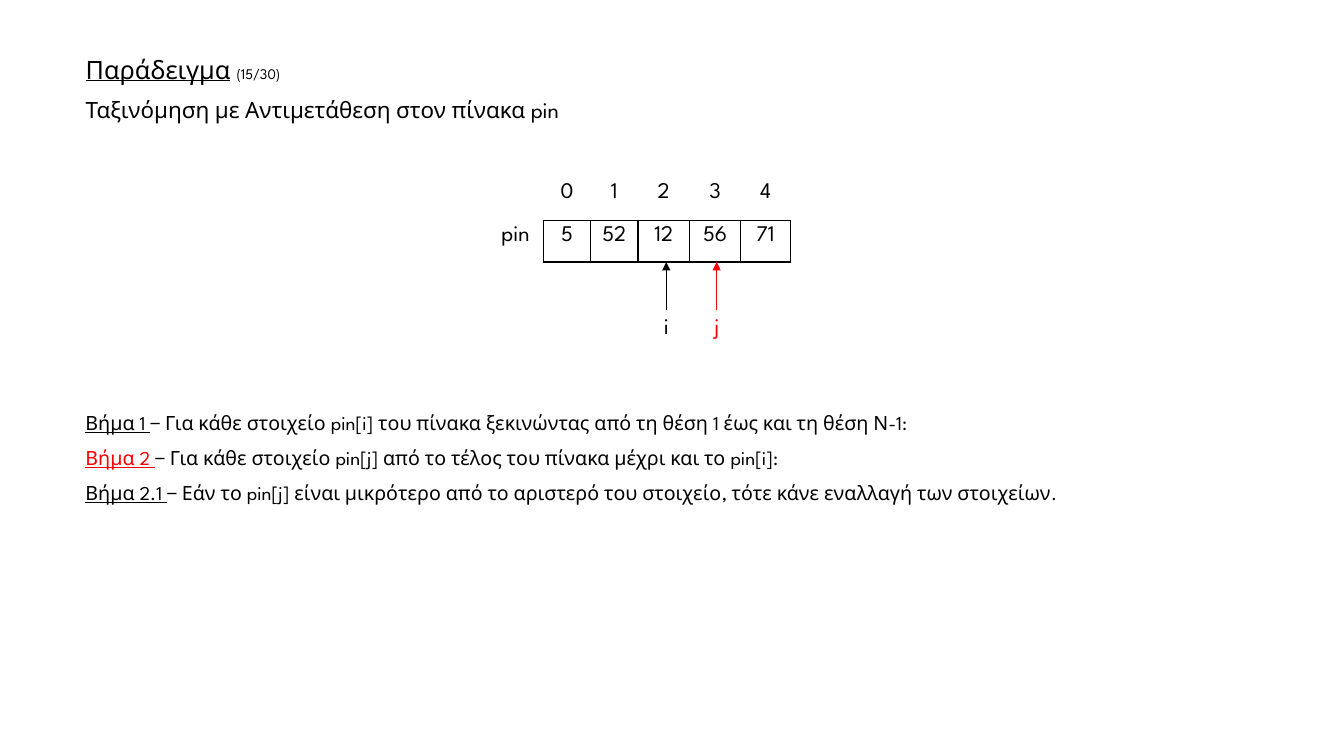
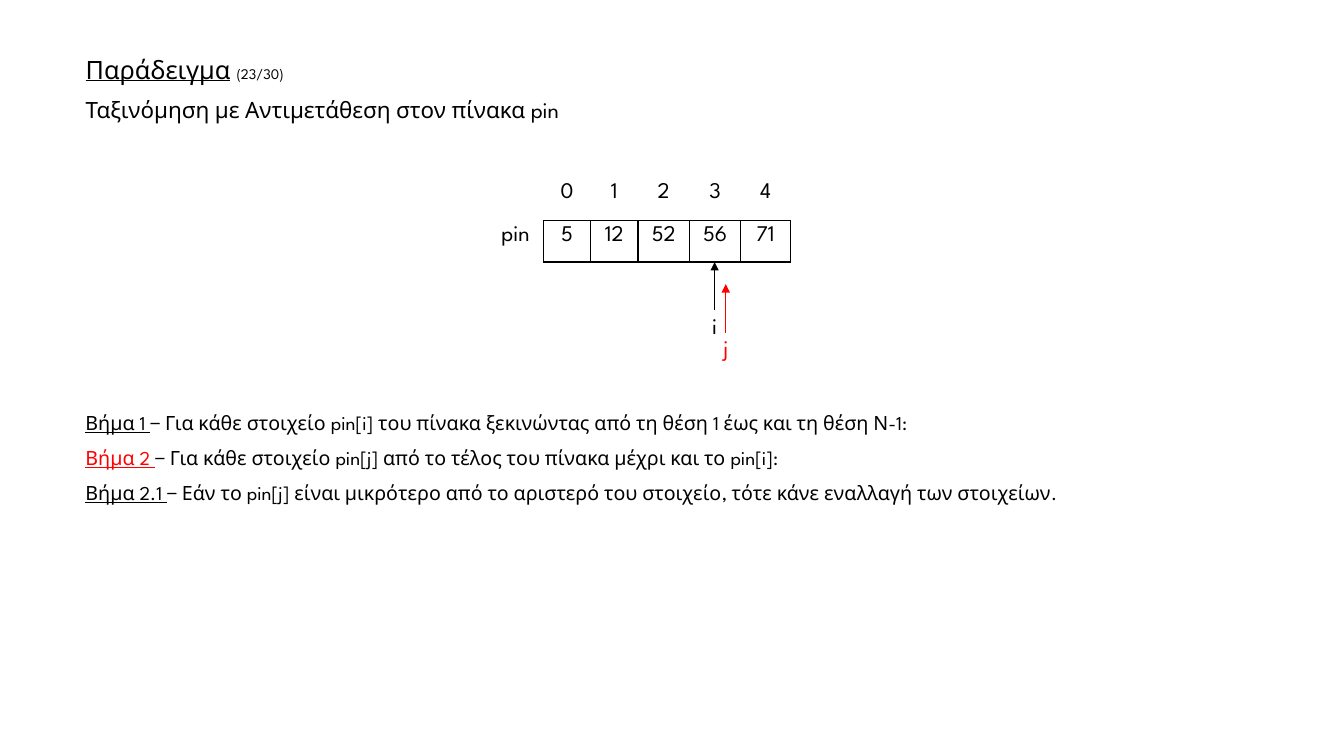
"""Build two slides that show steps of an exchange sort on the array pin."""
import pptx
import pptx.dml.color
import pptx.enum.shapes
import pptx.enum.text
import pptx.oxml
import pptx.oxml.ns
import pptx.util

BLACK = pptx.dml.color.RGBColor(0x00, 0x00, 0x00)
RED = pptx.dml.color.RGBColor(0xFF, 0x00, 0x00)
FONT = "League Spartan"
COLUMNS, ROWS = 40, 30
COLUMN = pptx.util.Inches(1 / 3)
ROW = pptx.util.Inches(0.25)
LEFT = 2.25
PLAIN_TABLE = "{2D5ABB26-0587-4C30-8999-92F81FD0307C}"
LEFT_ALIGN = pptx.enum.text.PP_ALIGN.LEFT
CENTER = pptx.enum.text.PP_ALIGN.CENTER

TABLE_LEFT, TABLE_TOP = 14.52, 7.04
TABLE_COLUMNS = (1.65, 1.41, 1.41, 1.53, 1.53, 1.47)
TABLE_ROWS = (1.72, 1.64)
ARROW_LENGTH = 1.92
LABEL_WIDTH, LABEL_HEIGHT = 0.72, 1.44

STEPS = (
    ("Βήμα 1 ", BLACK, "− Για κάθε στοιχείο pin[i] του πίνακα ξεκινώντας από τη θέση 1 έως και τη θέση Ν-1:"),
    ("Βήμα 2 ", RED, "− Για κάθε στοιχείο pin[j] από το τέλος του πίνακα μέχρι και το pin[i]:"),
    ("Βήμα 2.1 ", BLACK, "− Εάν το pin[j] είναι μικρότερο από το αριστερό του στοιχείο, "
                         "τότε κάνε εναλλαγή των στοιχείων."),
)

EXAMPLES = (
    {"number": "(15/30)", "values": (5, 52, 12, 56, 71),
     "pointers": (("i", BLACK, 19.83, 0), ("j", RED, 21.33, 0))},
    {"number": "(23/30)", "values": (5, 12, 52, 56, 71),
     "pointers": (("i", BLACK, 21.27, 0), ("j", RED, 21.6, 0.88))},
)


def columns(count):
    return round(count * COLUMN)


def rows(count):
    return round(count * ROW)


def add_xml(parent, markup):
    parent.append(pptx.oxml.parse_xml(markup.replace(">", f' {pptx.oxml.ns.nsdecls("a")}>', 1)))


class Deck:
    """Hold the shared style and the slide being filled."""

    def __init__(self):
        self.presentation = pptx.Presentation()
        self.presentation.slide_width = columns(COLUMNS)
        self.presentation.slide_height = rows(ROWS)
        self.slide = None

    def new_slide(self):
        self.slide = self.presentation.slides.add_slide(self.presentation.slide_layouts[5])

    def add_run(self, paragraph, text, size, color=BLACK, underline=False):
        run = paragraph.add_run()
        run.text = text
        run.font.name = FONT
        run.font.size = pptx.util.Pt(size)
        run.font.color.rgb = color
        run.font.underline = underline

    def fill_text(self, frame, paragraphs, line_spacing, space_before=0, alignment=LEFT_ALIGN):
        frame.word_wrap = True
        frame.vertical_anchor = pptx.enum.text.MSO_ANCHOR.TOP
        for index, runs in enumerate(paragraphs):
            paragraph = frame.add_paragraph() if index else frame.paragraphs[0]
            paragraph.alignment = alignment
            paragraph.line_spacing = line_spacing
            paragraph.space_before = pptx.util.Pt(space_before if index else 0)
            for run in runs:
                self.add_run(paragraph, *run)

    def add_title(self, number):
        title = self.slide.shapes.title
        title.left, title.top = columns(LEFT), rows(2.08)
        title.width, title.height = columns(32.37), rows(3.08)
        title.text_frame.auto_size = pptx.enum.text.MSO_AUTO_SIZE.NONE
        heading = (("Παράδειγμα", 18, BLACK, True), (" ", 18), (number, 10.5))
        subject = (("Ταξινόμηση με Αντιμετάθεση στον πίνακα pin", 16),)
        self.fill_text(title.text_frame, (heading, subject), 0.9, 10)

    def add_steps(self):
        box = self.slide.shapes.add_textbox(columns(LEFT), rows(15.64), columns(34.59), rows(4.48))
        paragraphs = [((name, 14, color, True), (text, 14)) for name, color, text in STEPS]
        self.fill_text(box.text_frame, paragraphs, 1.5)
        box.text_frame.auto_size = pptx.enum.text.MSO_AUTO_SIZE.SHAPE_TO_FIT_TEXT

    def format_cell(self, cell, text, borders):
        paragraph = cell.text_frame.paragraphs[0]
        paragraph.alignment = CENTER
        if text:
            self.add_run(paragraph, text, 16)
        properties = cell._tc.get_or_add_tcPr()
        for side in borders:
            add_xml(properties, f'<a:ln{side} w="12700"><a:solidFill>'
                                f'<a:srgbClr val="{BLACK}"/></a:solidFill></a:ln{side}>')
        cell.fill.background()

    def add_array(self, values):
        frame = self.slide.shapes.add_table(
            len(TABLE_ROWS), len(TABLE_COLUMNS), columns(TABLE_LEFT), rows(TABLE_TOP),
            columns(sum(TABLE_COLUMNS)), rows(sum(TABLE_ROWS)))
        table = frame.table
        table.first_row = table.horz_banding = False
        for style in frame.element.iter(pptx.oxml.ns.qn("a:tableStyleId")):
            style.text = PLAIN_TABLE
        for column, width in zip(table.columns, TABLE_COLUMNS):
            column.width = columns(width)
        for row, height in zip(table.rows, TABLE_ROWS):
            row.height = rows(height)
        self.format_cell(table.cell(0, 0), "", "")
        self.format_cell(table.cell(1, 0), "pin", "R")
        for index, value in enumerate(values):
            self.format_cell(table.cell(0, index + 1), str(index), "B")
            self.format_cell(table.cell(1, index + 1), str(value), "LRTB")

    def add_pointer(self, name, color, center, drop):
        tip = TABLE_TOP + sum(TABLE_ROWS) + drop
        base = tip + ARROW_LENGTH
        label = self.slide.shapes.add_textbox(
            columns(center - LABEL_WIDTH / 2), rows(base), columns(LABEL_WIDTH), rows(LABEL_HEIGHT))
        label.text_frame.margin_left = label.text_frame.margin_right = 0
        self.fill_text(label.text_frame, (((name, 16, color),),), 0.9, alignment=CENTER)
        arrow = self.slide.shapes.add_connector(
            pptx.enum.shapes.MSO_CONNECTOR.STRAIGHT,
            columns(center), rows(base), columns(center), rows(tip))
        arrow.begin_connect(label, 0)
        arrow.line.color.rgb = color
        arrow.line.width = pptx.util.Pt(0.5)
        add_xml(arrow.line._get_or_add_ln(), '<a:tailEnd type="triangle"></a:tailEnd>')
        add_xml(arrow.element.spPr, "<a:effectLst></a:effectLst>")


def main():
    deck = Deck()
    for example in EXAMPLES:
        deck.new_slide()
        deck.add_title(example["number"])
        deck.add_steps()
        deck.add_array(example["values"])
        for pointer in example["pointers"]:
            deck.add_pointer(*pointer)
    deck.presentation.save("out.pptx")


if __name__ == "__main__":
    main()
